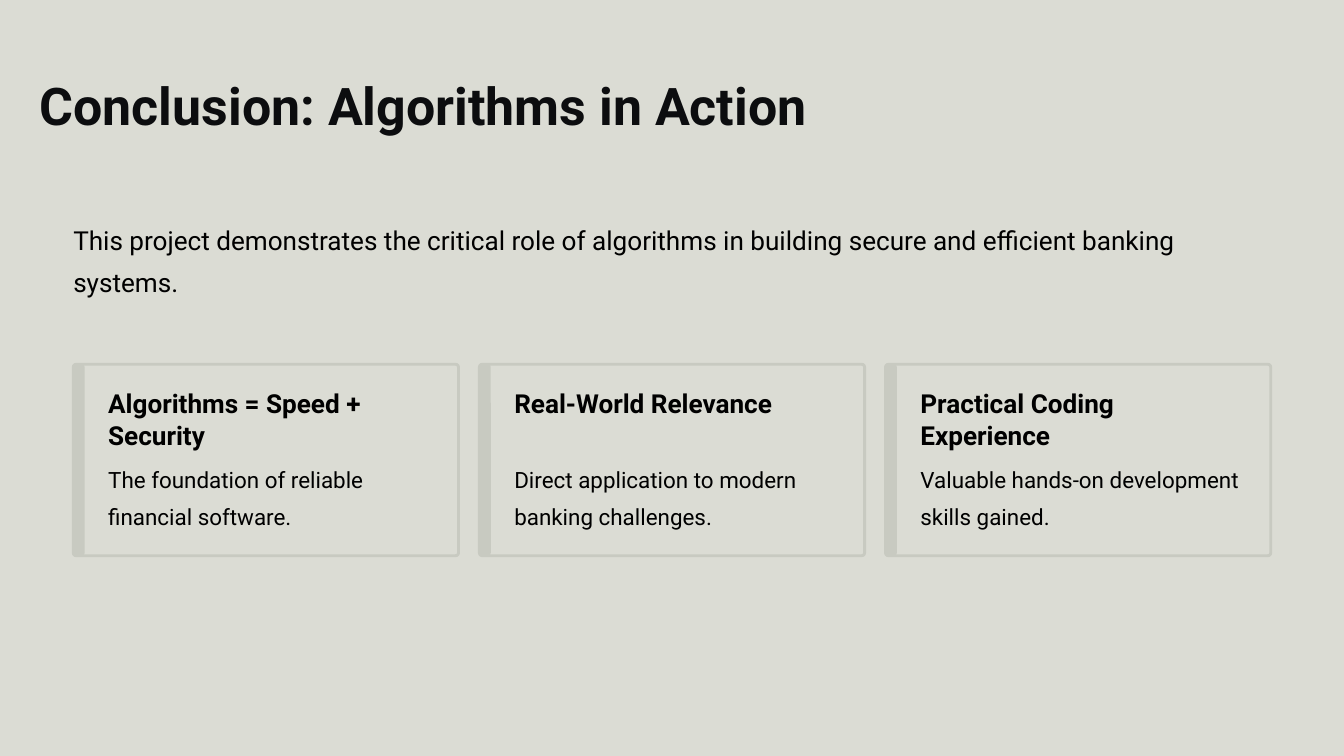
from dataclasses import dataclass

from pptx import Presentation
from pptx.dml.color import RGBColor
from pptx.enum.shapes import MSO_SHAPE
from pptx.enum.text import MSO_ANCHOR, PP_ALIGN
from pptx.util import Inches, Pt

# Content
TITLE = "Conclusion: Algorithms in Action"
INTRO = (
    "This project demonstrates the critical role of algorithms "
    "in building secure and efficient banking systems."
)
CARDS = [
    ("Algorithms = Speed + Security", "The foundation of reliable financial software."),
    ("Real-World Relevance", "Direct application to modern banking challenges."),
    ("Practical Coding Experience", "Valuable hands-on development skills gained."),
]


@dataclass(frozen=True)
class TextStyle:
    size: float
    line_spacing: float
    color: str = "000000"
    bold: bool = False


class Theme:
    font = "Roboto"
    background = "DBDCD4"
    accent = "C8CAC1"
    border_width = 3.1
    title = TextStyle(55.6, 69.4, color="0C0D0F", bold=True)
    intro = TextStyle(28, 45.6)
    card_heading = TextStyle(28, 35, bold=True)
    card_body = TextStyle(24, 39.1)


# Layout in inches: one row of equal columns inside the margins
SLIDE_WIDTH, SLIDE_HEIGHT = 20, 11.25
MARGIN = 1.09
CONTENT_WIDTH = SLIDE_WIDTH - 2 * MARGIN
COLUMN_GAP = 0.31
CARD_WIDTH = (CONTENT_WIDTH - COLUMN_GAP * (len(CARDS) - 1)) / len(CARDS)
CARD_TOP, CARD_HEIGHT = 5.42, 2.85
CORNER_RADIUS = 0.045
BAR_WIDTH = 0.17
TEXT_INDENT = 0.52
TEXT_WIDTH = 4.87


def add_text(slide, text, style, left, top, width, height):
    box = slide.shapes.add_textbox(*map(Inches, (left, top, width, height)))
    frame = box.text_frame
    frame.word_wrap = True
    frame.vertical_anchor = MSO_ANCHOR.TOP
    frame.margin_left = frame.margin_right = frame.margin_top = frame.margin_bottom = 0
    frame.text = text
    paragraph = frame.paragraphs[0]
    paragraph.alignment = PP_ALIGN.LEFT
    paragraph.line_spacing = Pt(style.line_spacing)
    font = paragraph.runs[0].font
    font.name = Theme.font
    font.size = Pt(style.size)
    font.bold = style.bold
    font.color.rgb = RGBColor.from_string(style.color)


def add_panel(slide, left, width, fill, border=None):
    panel = slide.shapes.add_shape(
        MSO_SHAPE.ROUNDED_RECTANGLE,
        *map(Inches, (left, CARD_TOP, width, CARD_HEIGHT)),
    )
    panel.adjustments[0] = CORNER_RADIUS / min(width, CARD_HEIGHT)
    panel.shadow.inherit = False
    panel.fill.solid()
    panel.fill.fore_color.rgb = RGBColor.from_string(fill)
    if border:
        panel.line.color.rgb = RGBColor.from_string(border)
        panel.line.width = Pt(Theme.border_width)
    else:
        panel.line.fill.background()


def add_card(slide, column, heading, body):
    left = MARGIN + column * (CARD_WIDTH + COLUMN_GAP)
    text_left = left + TEXT_INDENT
    add_panel(slide, left, CARD_WIDTH, Theme.background, border=Theme.accent)
    add_panel(slide, left, BAR_WIDTH, Theme.accent)
    add_text(slide, heading, Theme.card_heading, text_left, 5.74, TEXT_WIDTH, 0.97)
    add_text(slide, body, Theme.card_body, text_left, 6.8, TEXT_WIDTH, 1.07)


def main():
    presentation = Presentation()
    presentation.slide_width = Inches(SLIDE_WIDTH)
    presentation.slide_height = Inches(SLIDE_HEIGHT)
    slide = presentation.slides.add_slide(presentation.slide_layouts[6])

    # Background
    slide.background.fill.solid()
    slide.background.fill.fore_color.rgb = RGBColor.from_string(Theme.background)

    # Title and introduction
    add_text(slide, TITLE, Theme.title, 0.59, 1.06, 16.65, 1.03)
    add_text(slide, INTRO, Theme.intro, MARGIN, 3.17, CONTENT_WIDTH, 1.23)

    # Takeaway cards
    for column, (heading, body) in enumerate(CARDS):
        add_card(slide, column, heading, body)

    presentation.save("out.pptx")


if __name__ == "__main__":
    main()
